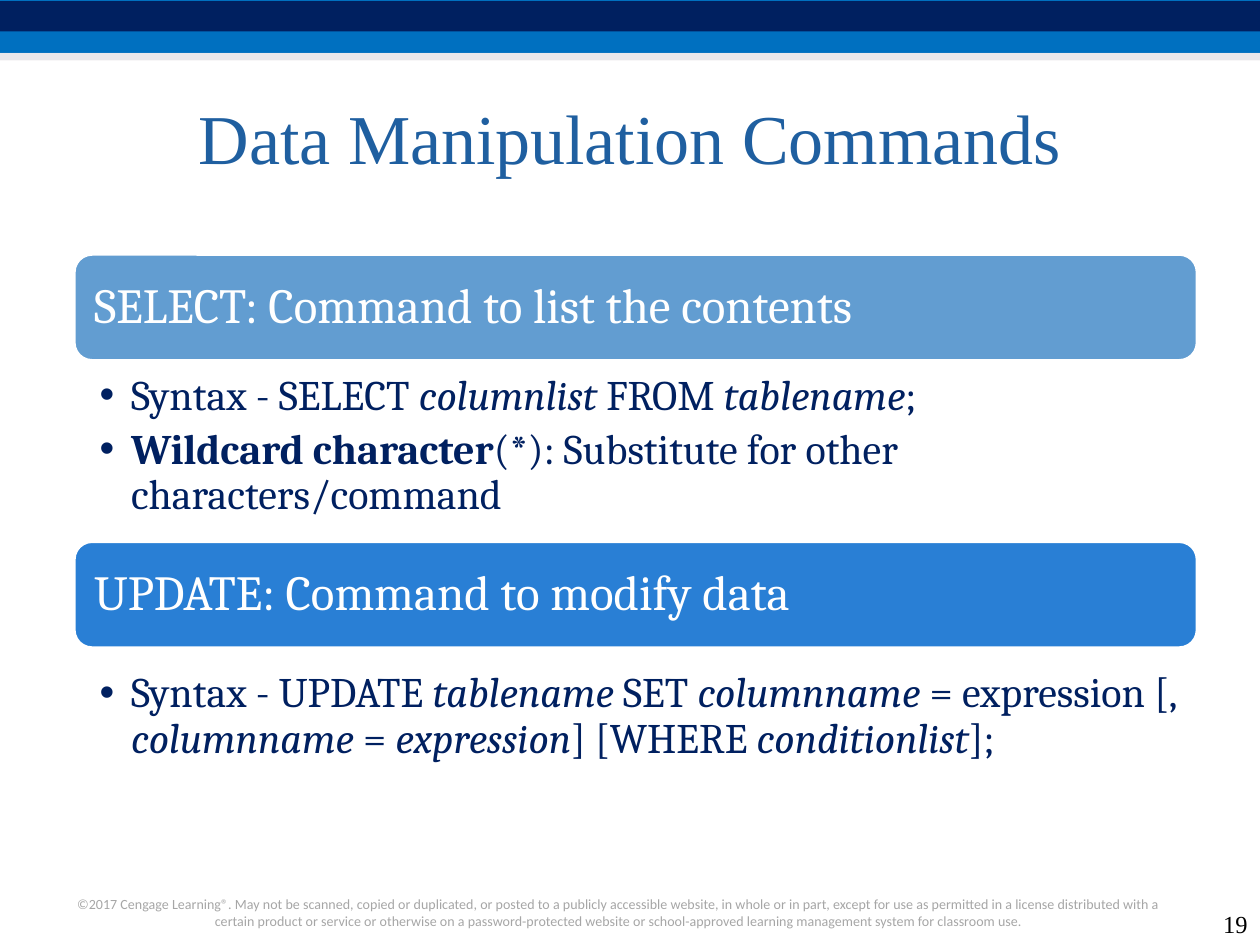
from lxml.etree import SubElement
from pptx import Presentation
from pptx.dml.color import RGBColor
from pptx.enum.shapes import MSO_SHAPE
from pptx.enum.text import MSO_ANCHOR, PP_ALIGN
from pptx.oxml.ns import qn
from pptx.util import Pt

COPYRIGHT = (
    "©2017 Cengage Learning®. May not be scanned, copied or duplicated, or posted to a "
    "publicly accessible website, in whole or in part, except for use as permitted in a "
    "license distributed with a certain product or service or otherwise on a "
    "password-protected website or school-approved learning management system for "
    "classroom use."
)
COMMANDS = [
    ("SELECT: Command to list the contents", "629DD1", 145.44, 211.68, [
        [("Syntax - SELECT ", ""), ("columnlist", "i"), (" FROM ", ""),
         ("tablename", "i"), (";", "")],
        [("Wildcard character", "b"),
         ("(*): Substitute for other characters/command", "")],
    ]),
    ("UPDATE: Command to modify data", "297FD5", 309.6, 381.6, [
        [("Syntax - UPDATE ", ""), ("tablename", "i"), (" SET ", ""),
         ("columnname", "i"), (" = expression [, ", ""), ("columnname", "i"),
         (" = ", ""), ("expression", "i"), ("] [WHERE ", ""),
         ("conditionlist", "i"), ("];", "")],
    ]),
]


def color(value):
    """Turn a hex string into a colour."""
    return RGBColor.from_string(value)


def set_font(paragraph, name, size, value):
    """Set the font of a whole paragraph."""
    paragraph.font.name = name
    paragraph.font.size = Pt(size)
    paragraph.font.color.rgb = color(value)


def set_margins(frame, left, top, right, bottom):
    """Set the four insets of a text frame."""
    frame.margin_left, frame.margin_top = Pt(left), Pt(top)
    frame.margin_right, frame.margin_bottom = Pt(right), Pt(bottom)


def add_block(slide, kind, box, fill):
    """Add a filled shape without outline or shadow."""
    block = slide.shapes.add_shape(kind, *map(Pt, box))
    block.shadow.inherit = False
    block.fill.solid()
    block.fill.fore_color.rgb = color(fill)
    block.line.fill.background()
    return block


def add_label(slide, box, text, font, align, anchor=MSO_ANCHOR.TOP):
    """Add a wrapped text box with one paragraph."""
    frame = slide.shapes.add_textbox(*map(Pt, box)).text_frame
    frame.word_wrap = True
    frame.vertical_anchor = anchor
    paragraph = frame.paragraphs[0]
    paragraph.text = text
    paragraph.alignment = align
    set_font(paragraph, *font)


def add_banner(slide, left, top, width):
    """Stack the coloured bands across the top of the slide."""
    for offset, height, fill in [(0, 30.24, "0070C0"), (0.72, 17.28, "002060"),
                                 (30.24, 4.32, "D8D3D9")]:
        band = add_block(slide, MSO_SHAPE.RECTANGLE,
                         (left, top + offset, width, height), fill)
    tint = band.fill._xPr.find(qn("a:solidFill"))[0]
    SubElement(tint, qn("a:alpha"), val="50000")


def add_heading(slide, box, text, fill):
    """Add the rounded heading bar of a command."""
    bar = add_block(slide, MSO_SHAPE.ROUNDED_RECTANGLE, box, fill)
    bar.line.color.rgb = color("FFFFFF")
    bar.line.width = Pt(1.5)
    frame = bar.text_frame
    frame.word_wrap = True
    frame.vertical_anchor = MSO_ANCHOR.MIDDLE
    set_margins(frame, 8.4, 8.4, 8.4, 8.4)
    heading = frame.paragraphs[0]
    heading.text = text
    heading.alignment = PP_ALIGN.LEFT
    heading.line_spacing = 0.9
    set_font(heading, "Cambria", 28, "FFFFFF")


def add_details(slide, box, details):
    """Add the bulleted details below a heading bar."""
    frame = slide.shapes.add_textbox(*map(Pt, box)).text_frame
    frame.word_wrap = True
    set_margins(frame, 20.88, 2.16, 13.68, 2.16)
    for index, pieces in enumerate(details):
        detail = frame.add_paragraph() if index else frame.paragraphs[0]
        properties = detail._p.get_or_add_pPr()
        properties.set("marL", str(Pt(18)))
        properties.set("indent", str(-Pt(18)))
        SubElement(properties, qn("a:buFont"), typeface="Arial")
        SubElement(properties, qn("a:buChar"), char="•")
        detail.level = 1
        detail.line_spacing = 0.9
        detail.space_after = Pt(4.8)
        set_font(detail, "Cambria", 24, "002060")
        for text, style in pieces:
            run = detail.add_run()
            run.text = text
            if style == "i":
                run.font.italic = True
            elif style == "b":
                run.font.bold = True


def main():
    """Build and save the slide."""
    deck = Presentation()
    deck.slide_width, deck.slide_height = Pt(720), Pt(540)
    slide = deck.slides.add_slide(deck.slide_layouts[6])
    add_banner(slide, 0, 0, 720)
    add_label(slide, (36, 508.32, 635.76, 26.64), COPYRIGHT,
              ("Calibri", 8, "A6A6A6"), PP_ALIGN.CENTER)
    add_label(slide, (36, 36, 648, 84.24), "Data Manipulation Commands",
              ("Times New Roman", 40, "1F5FA0"), PP_ALIGN.CENTER, MSO_ANCHOR.MIDDLE)
    for heading, fill, heading_top, details_top, details in COMMANDS:
        add_heading(slide, (42.48, heading_top, 641.52, 60.48), heading, fill)
        add_details(slide, (36, details_top, 653.76, 84.96), details)
    add_label(slide, (684, 516.24, 36, 23.76), "19",
              ("Times New Roman", 14, "000000"), PP_ALIGN.RIGHT, MSO_ANCHOR.BOTTOM)
    deck.save("out.pptx")


if __name__ == "__main__":
    main()
